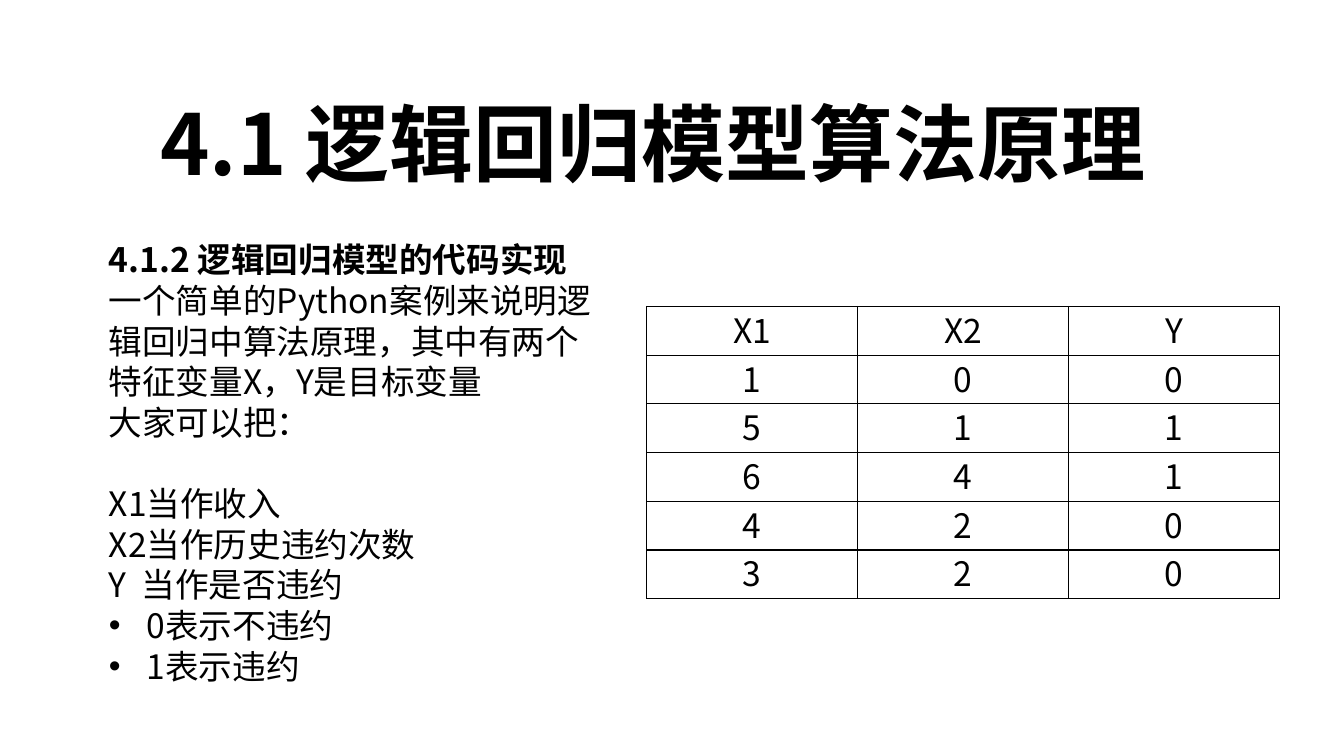
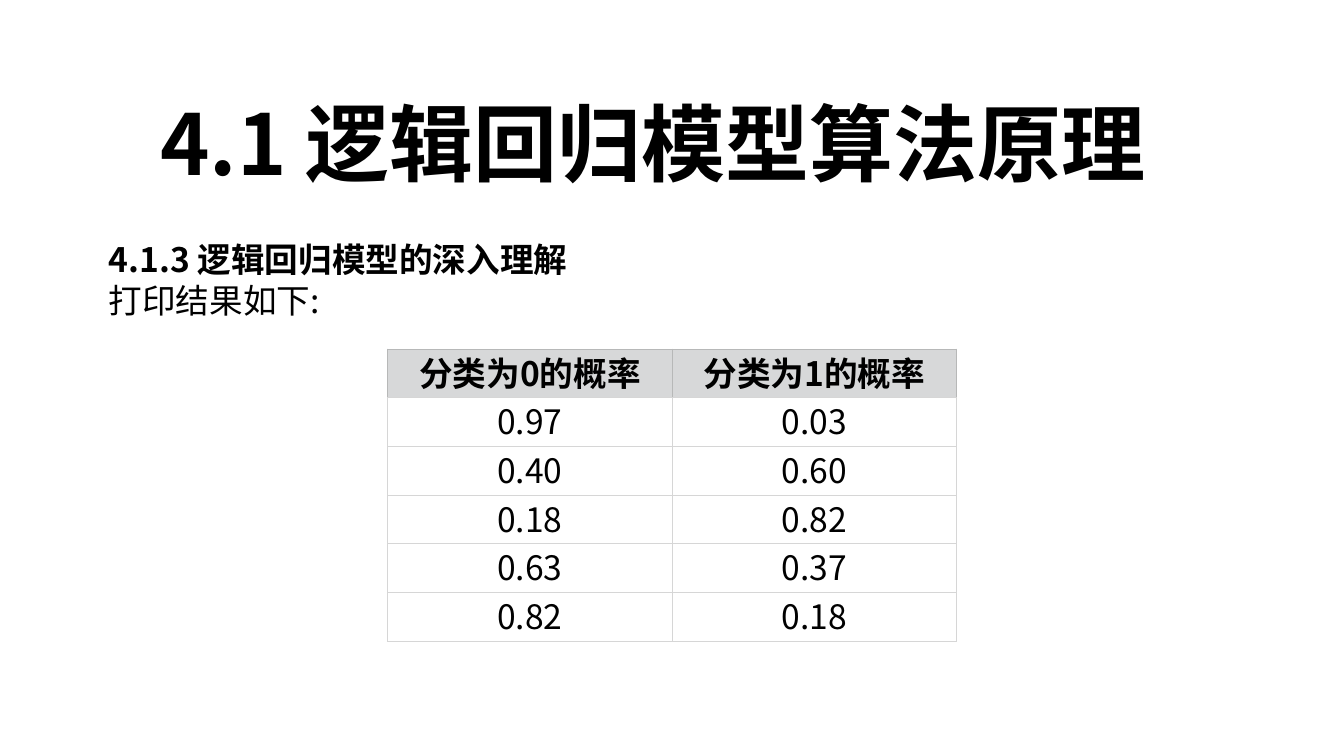
from lxml import etree
from pptx import Presentation
from pptx.dml.color import RGBColor
from pptx.enum.text import MSO_ANCHOR, MSO_AUTO_SIZE, PP_ALIGN
from pptx.oxml.ns import qn
from pptx.util import Pt

TOP, MIDDLE = MSO_ANCHOR.TOP, MSO_ANCHOR.MIDDLE
LEFT, CENTER = PP_ALIGN.LEFT, PP_ALIGN.CENTER
NO_AUTOFIT = MSO_AUTO_SIZE.NONE

COLORS = {
    "text": "000000",
    "white": "FFFFFF",
    "black_rule": "000000",
    "light_rule": "D6D6D6",
    "header_rule": "B7B8B8",
    "header_fill": "D7D8D9",
}
FONT = "Noto Sans CJK SC"
TITLE = "4.1 逻辑回归模型算法原理"
TITLE_SIZE, BODY_SIZE = 60, 24
LINE_RATIO = 1.21      # line pitch in ems
BASELINE_SHIFT = 0.06  # extra space above the first line, in ems
TITLE_ONLY = 5
ROW_HEIGHT = 34.8
BULLET_INDENT = 27

TITLE_BOX = (107.3, 57.6, 745.2, 79.9)
BODY_LEFT, BODY_TOP = 70.6, 165.6


def write_line(para, text, size, bold=False, align=LEFT):
    para.alignment = align
    para.line_spacing = Pt(round(size * LINE_RATIO, 2))
    para.space_before = para.space_after = Pt(0)
    span = para.add_run()
    span.text = text
    font = span.font
    font.name, font.size, font.bold = FONT, Pt(size), bold
    font.color.rgb = RGBColor.from_string(COLORS["text"])
    east_asian = etree.SubElement(font._element, qn("a:ea"))
    east_asian.set("typeface", FONT)


def add_bullet(para):
    properties = para._p.get_or_add_pPr()
    properties.set("marL", str(Pt(BULLET_INDENT)))
    properties.set("indent", str(-Pt(BULLET_INDENT)))
    etree.SubElement(properties, qn("a:buFont")).set("typeface", "Arial")
    etree.SubElement(properties, qn("a:buChar")).set("char", "•")


def set_frame(frame, size, wrap):
    frame.word_wrap = wrap
    frame.auto_size = NO_AUTOFIT
    frame.vertical_anchor = TOP
    frame.margin_left = frame.margin_right = Pt(7.2)
    frame.margin_top = Pt(3.6 + size * BASELINE_SHIFT)
    frame.margin_bottom = Pt(0)


def add_page(deck):
    """Add a slide that carries the chapter title."""
    page = deck.slides.add_slide(deck.slide_layouts[TITLE_ONLY])
    title = page.shapes.title
    title.left, title.top, title.width, title.height = map(Pt, TITLE_BOX)
    set_frame(title.text_frame, TITLE_SIZE, wrap=False)
    write_line(title.text_frame.paragraphs[0], TITLE, TITLE_SIZE, bold=True)
    return page


def add_body(page, box, heading, lines, bullets=(), gap_before=None):
    """Write a bold heading, plain lines and bullets; one line may open a new group."""
    frame = page.shapes.add_textbox(*map(Pt, box)).text_frame
    set_frame(frame, BODY_SIZE, wrap=True)
    write_line(frame.paragraphs[0], heading, BODY_SIZE, bold=True)
    for text in lines:
        para = frame.add_paragraph()
        write_line(para, text, BODY_SIZE)
        if text == gap_before:
            para.space_before = Pt(round(BODY_SIZE * LINE_RATIO, 2))
    for text in bullets:
        para = frame.add_paragraph()
        write_line(para, text, BODY_SIZE)
        add_bullet(para)


def set_borders(cell, width, sides):
    """Draw the borders given as colours for left, right, top and bottom."""
    properties = cell._tc.get_or_add_tcPr()
    for position, (side, color) in enumerate(zip("LRTB", sides)):
        line = etree.Element(qn(f"a:ln{side}"), w=str(Pt(width)))
        fill = etree.SubElement(line, qn("a:solidFill"))
        etree.SubElement(fill, qn("a:srgbClr")).set("val", COLORS[color])
        properties.insert(position, line)


def add_grid(page, left, top, width, rows, rule, rule_width, shaded_header=False):
    columns = len(rows[0])
    height = ROW_HEIGHT * len(rows)
    table = page.shapes.add_table(
        len(rows), columns, Pt(left), Pt(top), Pt(width), Pt(height)).table
    table.first_row = table.horz_banding = False
    for column in table.columns:
        column.width = Pt(width / columns)
    shift = BODY_SIZE * BASELINE_SHIFT
    for row_index, values in enumerate(rows):
        table.rows[row_index].height = Pt(ROW_HEIGHT)
        header = shaded_header and row_index == 0
        edge = "header_rule" if header else rule
        for column_index, value in enumerate(values):
            cell = table.cell(row_index, column_index)
            cell.vertical_anchor = MIDDLE
            cell.margin_left = cell.margin_right = Pt(0)
            cell.margin_top = Pt(2.88 + shift)
            cell.margin_bottom = Pt(2.88 - shift)
            cell.fill.solid()
            fill = "header_fill" if header else "white"
            cell.fill.fore_color.rgb = RGBColor.from_string(COLORS[fill])
            set_borders(cell, rule_width, (edge, edge, edge, rule))
            write_line(cell.text_frame.paragraphs[0], value, BODY_SIZE, header, CENTER)


def build_code_page(deck):
    page = add_page(deck)
    add_body(
        page, (BODY_LEFT, BODY_TOP, 370.8, 326.9),
        "4.1.2 逻辑回归模型的代码实现",
        ["一个简单的Python案例来说明逻辑回归中算法原理，其中有两个特征变量X，Y是目标变量",
         "大家可以把：", "X1当作收入", "X2当作历史违约次数", "Y  当作是否违约"],
        bullets=["0表示不违约", "1表示违约"],
        gap_before="X1当作收入")
    samples = [("X1", "X2", "Y"), "100", "511", "641", "420", "320"]
    add_grid(page, 462, 218.9, 452.2, samples, "black_rule", 1)


def build_result_page(deck):
    page = add_page(deck)
    add_body(page, (BODY_LEFT, BODY_TOP, 819.4, 65.5),
             "4.1.3 逻辑回归模型的深入理解", ["打印结果如下:"])
    probabilities = [
        ("分类为0的概率", "分类为1的概率"),
        ("0.97", "0.03"),
        ("0.40", "0.60"),
        ("0.18", "0.82"),
        ("0.63", "0.37"),
        ("0.82", "0.18"),
    ]
    add_grid(page, 277, 249.4, 406.1, probabilities, "light_rule", 0.75,
             shaded_header=True)


def main():
    deck = Presentation()
    deck.slide_width, deck.slide_height = Pt(960), Pt(540)
    build_code_page(deck)
    build_result_page(deck)
    deck.save("out.pptx")


if __name__ == "__main__":
    main()
